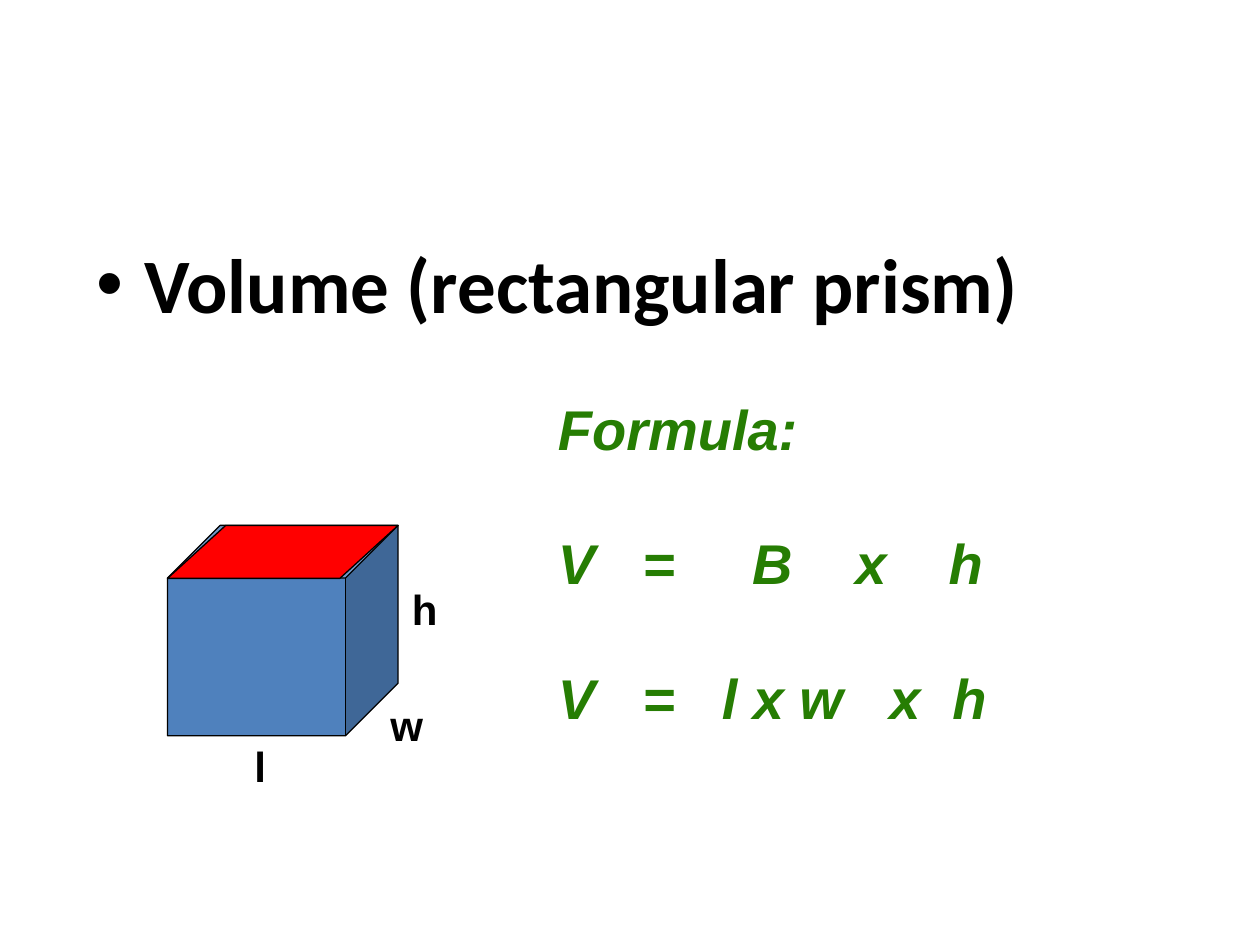
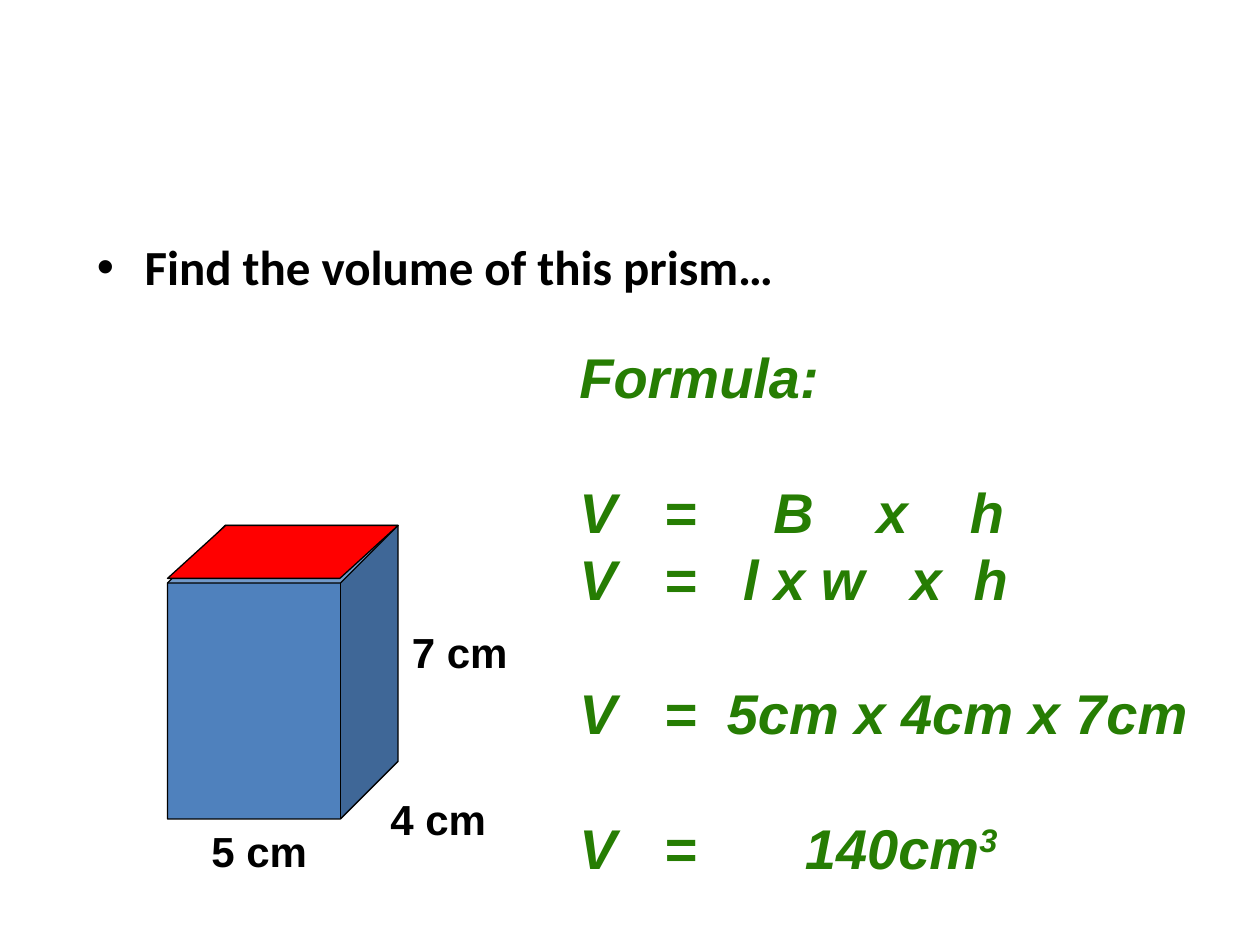
from lxml import etree
from pptx import Presentation
from pptx.dml.color import RGBColor
from pptx.enum.shapes import MSO_SHAPE
from pptx.oxml.ns import qn
from pptx.util import Inches, Pt

CUBE = MSO_SHAPE.CUBE
PARALLELOGRAM = MSO_SHAPE.PARALLELOGRAM

BLACK, GREEN, BLUE, RED = "000000", "267D03", "4F81BD", "FF0000"
HEAD_FONT, BODY_FONT = "Calibri", "Arial"
FORMULA_SIZE, LABEL_SIZE = 32, 24
LINE_RATIO = 1.2
PRISM_LEFT, PRISM_TOP, PRISM_WIDTH, BASE_DEPTH = 1.33, 4.17, 1.83, 0.42

# Each formula row: text, tab stops in inches, blank lines above it
GENERAL_ROW = "V\t=\tB\tx\th", (0.67, 1.54, 2.36, 3.1)
SIDES_ROW = "V\t=\tl x w\tx\th", (0.67, 1.3, 2.63, 3.13)


def color(value):
    return RGBColor.from_string(value)


def add_text(p, text, size=LABEL_SIZE, font=BODY_FONT, fill=BLACK,
             italic=False, raised=False):
    r = p.add_run()
    r.text = text
    r.font.size = Pt(size)
    r.font.name = font
    r.font.bold = True
    r.font.italic = italic
    r.font.color.rgb = color(fill)
    if raised:
        r.font._element.set("baseline", "30000")


def set_bullet(p, indent):
    pPr = p._p.get_or_add_pPr()
    pPr.set("marL", str(Inches(indent)))
    pPr.set("indent", str(-Inches(indent)))
    etree.SubElement(pPr, qn("a:buFont")).set("typeface", "Arial")
    etree.SubElement(pPr, qn("a:buChar")).set("char", "•")


def set_tabs(p, stops):
    tabs = etree.SubElement(p._p.get_or_add_pPr(), qn("a:tabLst"))
    for stop in stops:
        tab = etree.SubElement(tabs, qn("a:tab"))
        tab.set("pos", str(Inches(stop)))
        tab.set("algn", "l")


class Deck:
    """Holds the presentation and the slide being filled."""

    def __init__(self):
        self.prs = Presentation()
        self.prs.slide_width = Inches(10)
        self.prs.slide_height = Inches(7.5)

    def new_slide(self):
        self.s = self.prs.slides.add_slide(self.prs.slide_layouts[6])

    def box(self, left, top, width, height, wrap=True):
        sp = self.s.shapes.add_textbox(
            Inches(left), Inches(top), Inches(width), Inches(height))
        sp.text_frame.word_wrap = wrap
        return sp.text_frame

    def heading(self, text, size):
        p = self.box(0.67, 1.83, 8.83, 1.17).paragraphs[0]
        set_bullet(p, 0.38)
        add_text(p, text, size, HEAD_FONT)

    def label(self, text, left, top, width):
        p = self.box(left, top, width, 0.5, wrap=False).paragraphs[0]
        p.line_spacing = Pt(LABEL_SIZE * LINE_RATIO)
        add_text(p, text)

    def formula(self, left, top, width, height, rows, power=None):
        """Stack the rows under a caption; power is raised after the last."""
        tf = self.box(left, top, width, height)
        line = FORMULA_SIZE * LINE_RATIO
        style = dict(size=FORMULA_SIZE, fill=GREEN, italic=True)
        p = tf.paragraphs[0]
        p.line_spacing = Pt(line)
        add_text(p, "Formula:", **style)
        for (text, stops), blanks in rows:
            p = tf.add_paragraph()
            set_tabs(p, stops)
            p.line_spacing = Pt(line)
            p.space_before = Pt(line * blanks)
            add_text(p, text, **style)
        if power:
            add_text(p, power, raised=True, **style)

    def solid(self, kind, height, fill, adjustment):
        sp = self.s.shapes.add_shape(
            kind, Inches(PRISM_LEFT), Inches(PRISM_TOP),
            Inches(PRISM_WIDTH), Inches(height))
        sp.adjustments[0] = adjustment
        sp.shadow.inherit = False
        sp.fill.solid()
        sp.fill.fore_color.rgb = color(fill)
        sp.line.color.rgb = color(BLACK)
        sp.line.width = Pt(0.75)

    def prism(self, height):
        self.solid(CUBE, height, BLUE, 0.25)
        self.solid(PARALLELOGRAM, BASE_DEPTH, RED, 1.1)


def formula_slide(deck):
    deck.new_slide()
    deck.heading("Volume (rectangular prism)", 44)
    deck.formula(4.33, 3.08, 5.02, 2.77, [(GENERAL_ROW, 1), (SIDES_ROW, 1)])
    deck.prism(1.67)
    deck.label("l", 1.92, 5.83, 0.29)
    deck.label("w", 3, 5.5, 0.46)
    deck.label("h", 3.17, 4.58, 0.4)


def example_slide(deck):
    deck.new_slide()
    deck.heading("Find the volume of this prism…", 28)
    deck.formula(4.5, 2.67, 5.33, 4.36, [
        (GENERAL_ROW, 1),
        (SIDES_ROW, 0),
        (("V\t=\t5cm x 4cm x 7cm", (0.67, 1.17)), 1),
        (("V\t=\t140cm", (0.67, 1.79)), 1),
    ], power="3")
    deck.prism(2.33)
    deck.label("5 cm", 1.58, 6.5, 0.96)
    deck.label("4 cm", 3, 6.25, 0.96)
    deck.label("7 cm", 3.17, 4.92, 0.96)


def main():
    deck = Deck()
    formula_slide(deck)
    example_slide(deck)
    deck.prs.save("out.pptx")


if __name__ == "__main__":
    main()
